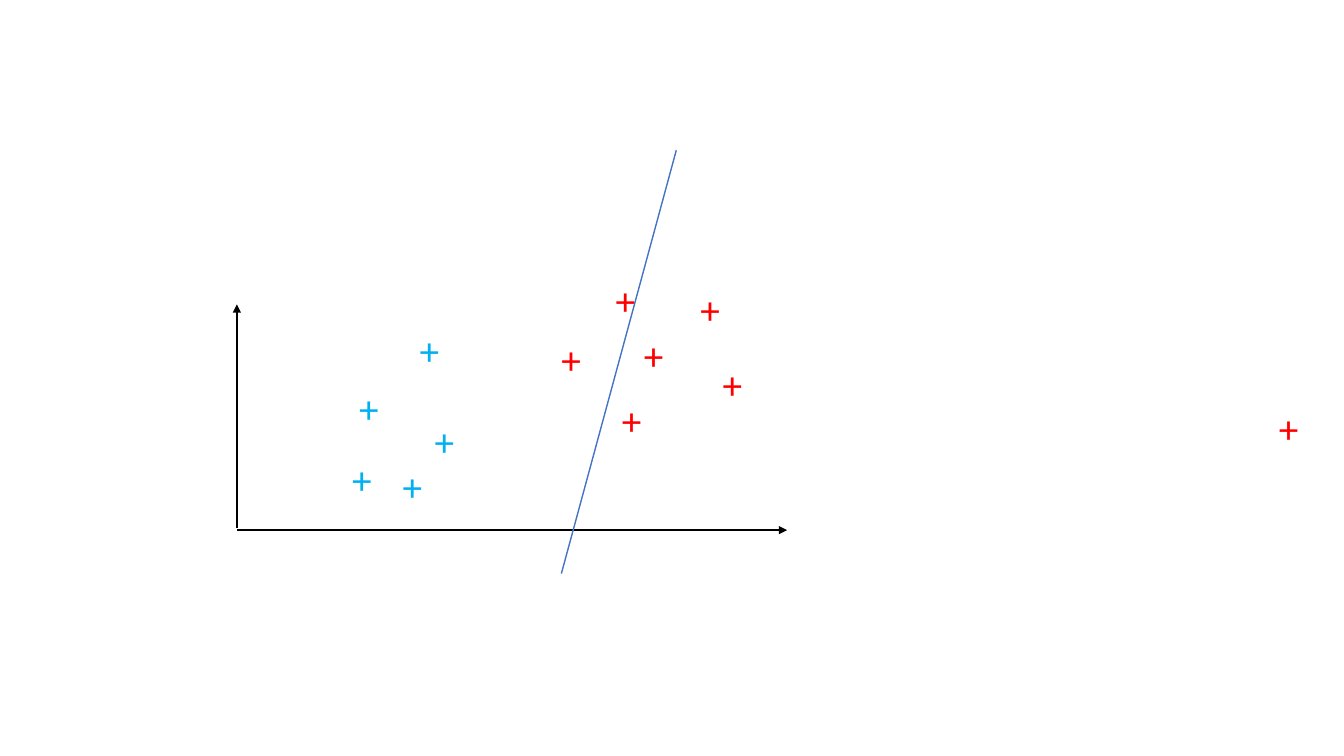
from dataclasses import dataclass

from lxml.etree import SubElement
from pptx import Presentation
from pptx.dml.color import RGBColor
from pptx.enum.shapes import MSO_CONNECTOR
from pptx.enum.text import MSO_AUTO_SIZE, PP_ALIGN
from pptx.oxml.ns import qn
from pptx.util import Pt


@dataclass(frozen=True)
class Theme:
    axis: str = "000000"
    boundary: str = "4472C4"
    blue_class: str = "00B0F0"
    red_class: str = "FF0000"
    font: str = "Calibri"
    mark_size: float = 28
    axis_width: float = 1.5
    boundary_width: float = 1


theme = Theme()
prs = Presentation()
prs.slide_width, prs.slide_height = Pt(960), Pt(540)
slide = prs.slides.add_slide(prs.slide_layouts[6])


def add_line(start, end, color, width, arrow=False):
    line = slide.shapes.add_connector(
        MSO_CONNECTOR.STRAIGHT, *(Pt(v) for v in (*start, *end)))
    line.line.color.rgb = RGBColor.from_string(color)
    line.line.width = Pt(width)
    if arrow:
        SubElement(line.line._get_or_add_ln(), qn("a:tailEnd"), type="triangle")
    SubElement(line._element.spPr, qn("a:effectLst"))


def add_text(text, left, top, width, height, *, color, size, font=theme.font,
             align=PP_ALIGN.CENTER):
    sp = slide.shapes.add_textbox(Pt(left), Pt(top), Pt(width), Pt(height))
    tf = sp.text_frame
    tf.word_wrap = True
    tf.auto_size = MSO_AUTO_SIZE.SHAPE_TO_FIT_TEXT
    p = tf.paragraphs[0]
    p.alignment = align
    r = p.add_run()
    r.text = text
    r.font.name = font
    r.font.size = Pt(size)
    r.font.color.rgb = RGBColor.from_string(color)


# Axes and decision boundary
add_line((169.2, 378.7), (562.3, 378.7), theme.axis, theme.axis_width, arrow=True)
add_line((169.2, 377.3), (169.2, 217.4), theme.axis, theme.axis_width, arrow=True)
add_line((401, 409.7), (483.1, 107.3), theme.boundary, theme.boundary_width)

# Data points of each class, given by the centre of the mark's box
blue_points = [(258.5, 342.4), (294.5, 347.4), (317.5, 315), (306.7, 250.2),
               (263.5, 291.2)]
red_points = [(407.9, 256.7), (446.8, 214.2), (507.2, 220.7), (451.1, 299.9),
              (466.9, 253.8), (523.1, 274.7), (920.5, 305.6)]
mark_height = 41.2
for points, color, width in ((blue_points, theme.blue_class, 38.9),
                             (red_points, theme.red_class, 33.8)):
    for x, y in points:
        add_text("+", x - width / 2, y - mark_height / 2, width, mark_height,
                 color=color, size=theme.mark_size)

prs.save("out.pptx")
